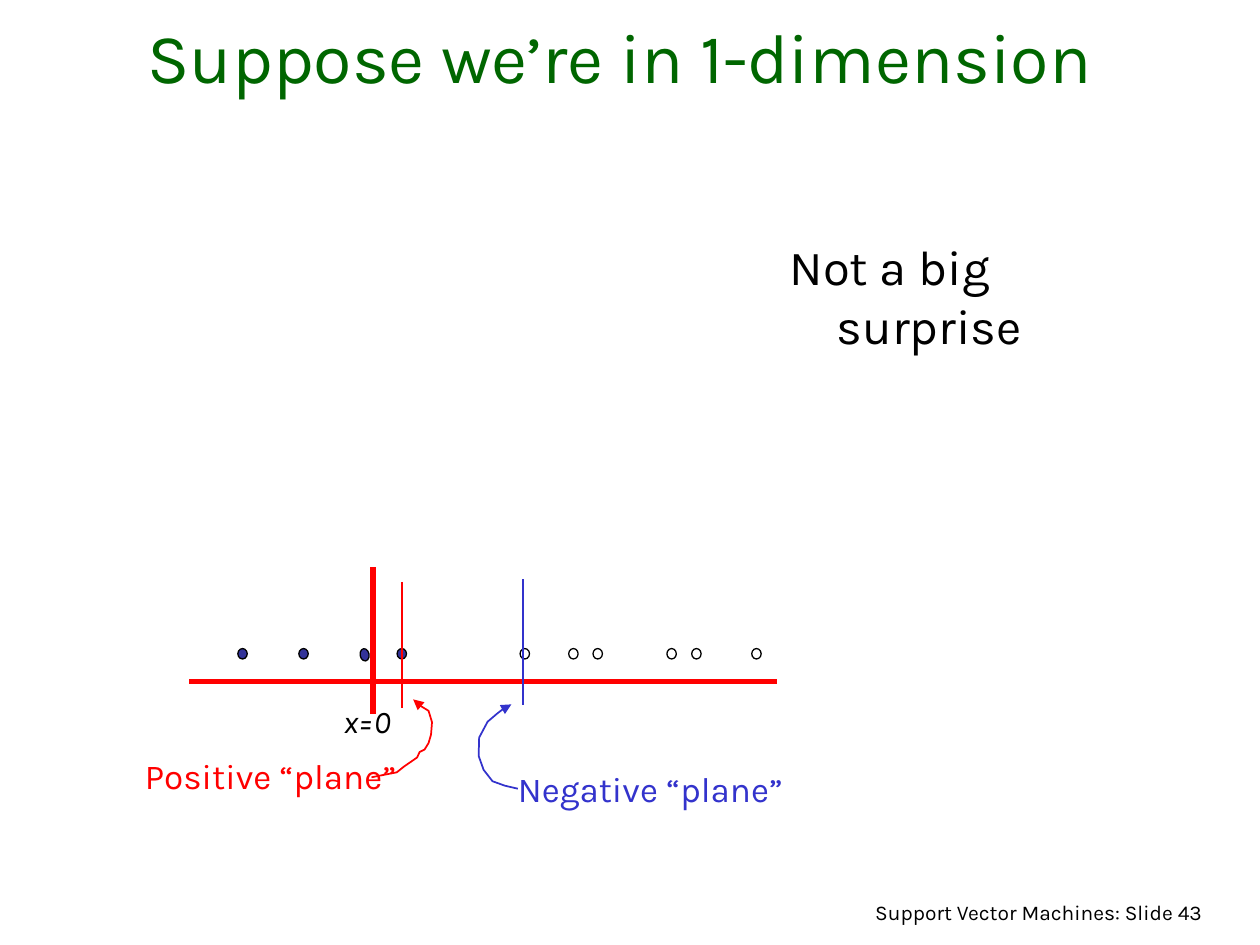
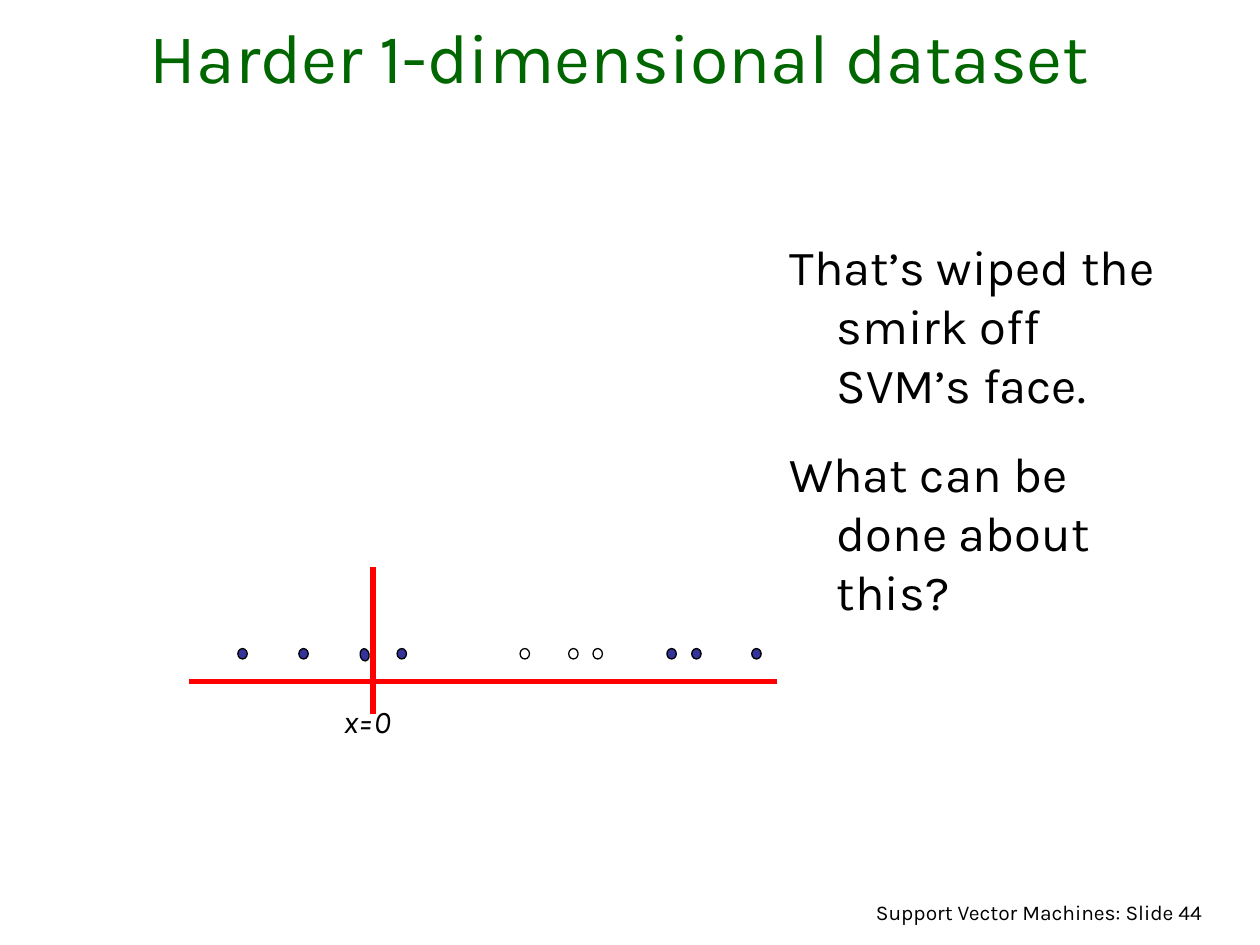
"""Build two slides on one-dimensional data sets for support vector machines."""
from dataclasses import dataclass

from lxml import etree
from pptx import Presentation
from pptx.dml.color import RGBColor
from pptx.enum.shapes import MSO_CONNECTOR, MSO_SHAPE
from pptx.enum.text import MSO_ANCHOR, MSO_AUTO_SIZE, PP_ALIGN
from pptx.oxml.ns import qn
from pptx.util import Cm, Pt

LINE = MSO_CONNECTOR.STRAIGHT
OVAL = MSO_SHAPE.OVAL
LEFT, CENTER, RIGHT = PP_ALIGN.LEFT, PP_ALIGN.CENTER, PP_ALIGN.RIGHT
BOTTOM = MSO_ANCHOR.BOTTOM
FIXED = MSO_AUTO_SIZE.NONE


@dataclass(frozen=True)
class Theme:
    """Hold the colours, font and sizes of the deck."""
    font: str = "Karla"
    green: str = "006600"
    black: str = "000000"
    white: str = "FFFFFF"
    red: str = "FF0000"
    blue: str = "3333CC"
    navy: str = "333399"
    title: int = 40
    body: int = 28
    label: int = 20
    mark: int = 18
    foot: int = 12
    thick: float = 3
    thin: float = 1
    rim: float = 0.75


THEME = Theme()
TITLE = (0.64, 0.2, 23.7, 1.9)
FOOT = (14.53, 18.01, 9.96, 0.84)
PLOT = (3.81, 11.43, 11.85, 2.96)
NOTE = (15.67, 4.65, 8.26)
HANG = 0.95
ZERO, BASE, ROW = 3.71, 2.31, 1.75
DOTS = (1.08, 2.31, 3.54, 4.29, 6.77, 7.75, 8.24, 9.73, 10.23, 11.44)
TILTED = 2
PLANES = (
    ("Positive “plane”", THEME.red, (4.29, 0.3), (-1.14, 3.66),
     ((3.68, 4.24), (4.19, 4.14), (4.34, 4.02), (4.5, 3.91), (4.6, 3.84),
      (4.65, 3.73), (4.75, 3.68), (4.83, 3.55), (4.88, 3.38), (4.9, 3.13),
      (4.83, 2.9), (4.62, 2.77), (4.52, 2.67))),
    ("Negative “plane”", THEME.blue, (6.74, 0.25), (6.38, 3.91),
     ((6.63, 4.47), (6.37, 4.41), (6.12, 4.32), (5.94, 4.09), (5.84, 3.81),
      (5.85, 3.44), (6.02, 3.12), (6.22, 2.95), (6.43, 2.79), (6.5, 2.77))),
)


def paint(frame, size, color, align=LEFT, italic=False):
    """Format every paragraph and run of a text frame."""
    for part in frame.paragraphs:
        part.alignment = align
        for run in part.runs:
            font = run.font
            font.name, font.size, font.italic = THEME.font, Pt(size), italic
            font.color.rgb = RGBColor.from_string(color)


def write(slide, box, text, size, color, hang=0, **style):
    """Add a wrapped text box, with a hanging indent if asked."""
    frame = slide.shapes.add_textbox(*map(Cm, box)).text_frame
    frame.word_wrap = True
    frame.text = text
    for index, part in enumerate(frame.paragraphs):
        if hang:
            props = part._p.get_or_add_pPr()
            props.set("marL", str(Cm(hang)))
            props.set("indent", str(-Cm(hang)))
        if index:
            part.space_before = Pt(17.5)
    paint(frame, size, color, **style)


def stroke(shape, color, width):
    """Set the colour and width of an outline."""
    shape.line.color.rgb = RGBColor.from_string(color)
    shape.line.width = Pt(width)


def rule(slide, start, end, color, width):
    """Draw a straight line without a shadow."""
    line = slide.shapes.add_connector(LINE, *map(Cm, (*start, *end)))
    stroke(line, color, width)
    etree.SubElement(line._element.spPr, qn("a:effectLst"))


def curl(slide, left, top, points, color):
    """Draw a bent open arrow through the points."""
    spots = [(Cm(left + x), Cm(top + y)) for x, y in points]
    build = slide.shapes.build_freeform(*spots[0])
    build.add_line_segments(spots[1:], close=False)
    shape = build.convert_to_shape()
    shape.shadow.inherit = False
    shape.fill.background()
    stroke(shape, color, THEME.thin)
    tail = etree.SubElement(shape.line._get_or_add_ln(), qn("a:tailEnd"))
    tail.set("type", "triangle")


def dot(slide, x, y, color, tilted):
    """Draw one data point around its centre."""
    wide, high = (0.18, 0.25) if tilted else (0.19, 0.21)
    box = (x - wide / 2, y - high / 2, wide, high)
    shape = slide.shapes.add_shape(OVAL, *map(Cm, box))
    shape.shadow.inherit = False
    shape.rotation = 350 if tilted else 0
    shape.fill.solid()
    shape.fill.fore_color.rgb = RGBColor.from_string(color)
    stroke(shape, THEME.black, THEME.rim)


def plot(slide, box, hollow):
    """Draw the axes, the data points and the origin label."""
    left, top, wide, high = box
    rule(slide, (left + ZERO, top), (left + ZERO, top + high),
         THEME.red, THEME.thick)
    rule(slide, (left, top + BASE), (left + wide, top + BASE),
         THEME.red, THEME.thick)
    for index, x in enumerate(DOTS):
        tilted = index == TILTED
        color = THEME.white if index in hollow else THEME.navy
        dot(slide, left + x, top + ROW + 0.02 * tilted, color, tilted)
    write(slide, (left + 2.87, top + 2.59, 2.5, 1), "x=0",
          THEME.mark, THEME.black, italic=True)


def planes(slide, box):
    """Draw both margin planes with their labels and arrows."""
    left, top = box[:2]
    for name, color, (x, y), (dx, dy), points in PLANES:
        rule(slide, (left + x, top + y), (left + x, top + y + 2.54),
             color, THEME.thin)
        write(slide, (left + dx, top + dy, 6.2, 1.12), name,
              THEME.label, color)
        curl(slide, left, top, points, color)


def page(deck, number, title, note, tall, hollow):
    """Add a slide with title, footer, data plot and remark."""
    slide = deck.slides.add_slide(deck.slide_layouts[5])
    head = slide.shapes.title
    head.left, head.top, head.width, head.height = map(Cm, TITLE)
    frame = head.text_frame
    frame.text = title
    frame.auto_size, frame.vertical_anchor = FIXED, BOTTOM
    paint(frame, THEME.title, THEME.green, CENTER)
    write(slide, FOOT, f"Support Vector Machines: Slide {number}",
          THEME.foot, THEME.black, align=RIGHT)
    plot(slide, PLOT, hollow)
    write(slide, (*NOTE, tall), note, THEME.body, THEME.black, HANG)
    return slide


def main():
    """Build and save the deck."""
    deck = Presentation()
    deck.slide_width, deck.slide_height = Cm(25.4), Cm(19.05)
    first = page(deck, 43, "Suppose we’re in 1-dimension",
                 "Not a big surprise", 2.64, range(4, 10))
    planes(first, PLOT)
    page(deck, 44, "Harder 1-dimensional dataset",
         "That’s wiped the smirk off SVM’s face.\n"
         "What can be done about this?", 8, range(4, 7))
    deck.save("out.pptx")


if __name__ == "__main__":
    main()
